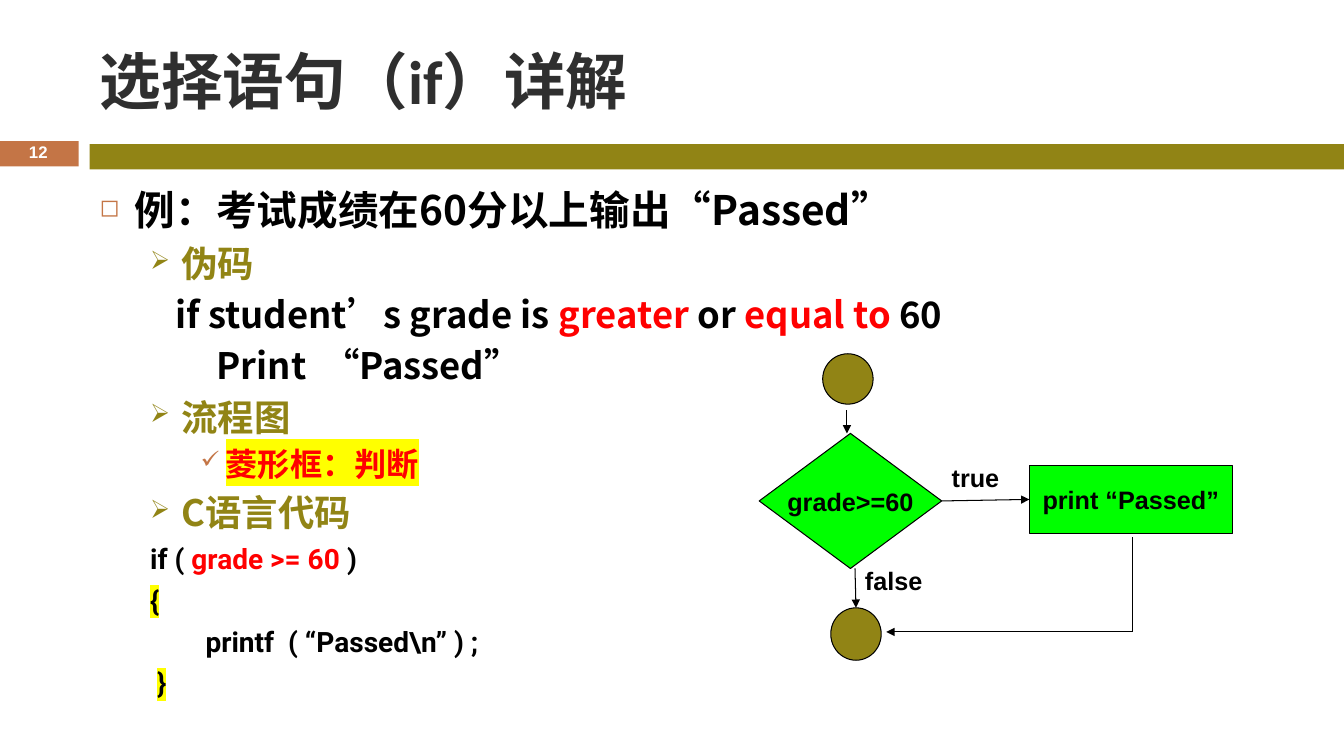
from dataclasses import dataclass

from lxml import etree
from pptx import Presentation
from pptx import util as u
from pptx.dml.color import RGBColor
from pptx.enum import shapes, text
from pptx.oxml import ns


@dataclass(frozen=True)
class Theme:
    """Colours, fonts and type sizes of the slide."""
    olive: str = "918415"
    rust: str = "C47546"
    green: str = "00FF00"
    red: str = "FF0000"
    yellow: str = "FFFF00"
    black: str = "000000"
    white: str = "FFFFFF"
    heading: str = "2F2F2F"
    title_font: str = "Calibri"
    body_font: str = "Noto Sans CJK SC"
    code_font: str = "Roboto"
    label_font: str = "Arial"
    title_size: int = 44
    label_size: int = 18
    number_size: int = 12


THEME = Theme()


@dataclass(frozen=True)
class Style:
    """Type, spacing and bullet of one kind of body paragraph."""
    size: int
    line: float
    before: float
    color: str = THEME.black
    font: str = THEME.body_font
    margin: float = 0
    hanging: float = 0
    bullet: str = ""
    bullet_color: str = THEME.olive
    bullet_scale: int = 100


TOPIC = Style(29, 37.5, 0, margin=0.35, hanging=0.35, bullet="◻",
              bullet_color=THEME.rust, bullet_scale=60)
SECTION = Style(26, 31, 5.5, THEME.olive, margin=0.81, hanging=0.31,
                bullet="➢", bullet_scale=70)
POINT = Style(23, 27, 5, THEME.red, margin=1.25, hanging=0.25, bullet="✓",
              bullet_color=THEME.rust, bullet_scale=75)
PSEUDO = Style(26, 31, 5.5)
CODE = Style(20, 24, 5.5, font=THEME.code_font)

BODY = [
    (TOPIC, 0.35, [("例：考试成绩在60分以上输出“Passed”",)]),
    (SECTION, 0.81, [("伪码",)]),
    (PSEUDO, 0.75, [("if student’s grade is ",), ("greater", THEME.red),
                    (" or ",), ("equal to ", THEME.red), ("60",)]),
    (PSEUDO, 1.16, [("Print  “Passed”",)]),
    (SECTION, 0.81, [("流程图",)]),
    (POINT, 1.25, [("菱形框：判断", THEME.red, THEME.yellow)]),
    (SECTION, 0.81, [("C语言代码",)]),
    (CODE, 0.5, [("if ( ",), ("grade >= 60", THEME.red), (" )",)]),
    (CODE, 0.5, [("{", THEME.black, THEME.yellow)]),
    (CODE, 1.05, [("printf  ( “Passed\\n” ) ;",)]),
    (CODE, 0.57, [("}", THEME.black, THEME.yellow)]),
]


def format_span(span, size, font, color, highlight=None):
    """Set the type of a run, with an optional highlight."""
    span.font.size = u.Pt(size)
    span.font.bold = True
    span.font.color.rgb = RGBColor.from_string(color)
    span.font.name = font
    props = span.font._element
    latin = props.find(ns.qn("a:latin"))
    east = etree.Element(ns.qn("a:ea"), typeface=THEME.body_font)
    latin.addnext(east)
    if highlight:
        mark = etree.Element(ns.qn("a:highlight"))
        etree.SubElement(mark, ns.qn("a:srgbClr"), val=highlight)
        latin.addprevious(mark)


def write(shape, words, size, font, color, align=None, wrap=False):
    """Put one vertically centred line of text in a shape."""
    frame = shape.text_frame
    frame.text = words
    frame.word_wrap = wrap
    frame.vertical_anchor = text.MSO_ANCHOR.MIDDLE
    para = frame.paragraphs[0]
    para.alignment = align
    format_span(para.runs[0], size, font, color)


def add_block(page, kind, place, fill, outlined=False):
    """Add a filled preset shape."""
    block = page.shapes.add_shape(kind, *map(u.Inches, place))
    block.shadow.inherit = False
    block.fill.solid()
    block.fill.fore_color.rgb = RGBColor.from_string(fill)
    if outlined:
        block.line.color.rgb = RGBColor.from_string(THEME.black)
        block.line.width = u.Pt(0.75)
    else:
        block.line.fill.background()
    return block


def add_step(page, kind, place, words):
    """Add a green flowchart step with its label."""
    step = add_block(page, kind, place, THEME.green, outlined=True)
    write(step, words, THEME.label_size, THEME.label_font, THEME.black,
          text.PP_ALIGN.CENTER)
    return step


def add_words(page, place, *styling, **options):
    """Add a text box holding one line."""
    box = page.shapes.add_textbox(*map(u.Inches, place))
    write(box, *styling, **options)


def add_flow(page, start, end, arrow=True):
    """Add a straight flow line, with an arrowhead unless told otherwise."""
    flow = page.shapes.add_connector(
        shapes.MSO_CONNECTOR.STRAIGHT, *map(u.Inches, start + end))
    flow.line.color.rgb = RGBColor.from_string(THEME.black)
    flow.line.width = u.Pt(0.75)
    if arrow:
        etree.SubElement(flow.line._get_or_add_ln(), ns.qn("a:tailEnd"),
                         type="triangle")
    etree.SubElement(flow._element.spPr, ns.qn("a:effectLst"))
    return flow


def set_bullet(para, style):
    """Give a paragraph its coloured bullet and hanging indent."""
    props = para._p.get_or_add_pPr()
    props.set("indent", str(-u.Inches(style.hanging)))
    color = etree.SubElement(props, ns.qn("a:buClr"))
    etree.SubElement(color, ns.qn("a:srgbClr"), val=style.bullet_color)
    etree.SubElement(props, ns.qn("a:buSzPct"),
                     val=str(style.bullet_scale * 1000))
    etree.SubElement(props, ns.qn("a:buChar"), char=style.bullet)


def add_body(page):
    """Add the outline with pseudocode and code."""
    box = page.shapes.add_textbox(*map(u.Inches, (0.89, 1.75, 11.89, 5.39)))
    frame = box.text_frame
    frame.word_wrap = True
    for index, (style, margin, spans) in enumerate(BODY):
        para = frame.add_paragraph() if index else frame.paragraphs[0]
        para.line_spacing = u.Pt(style.line)
        para.space_before = u.Pt(style.before)
        para._p.get_or_add_pPr().set("marL", str(u.Inches(margin)))
        if style.bullet:
            set_bullet(para, style)
        for words, *look in spans:
            span = para.add_run()
            span.text = words
            format_span(span, style.size, style.font,
                        *(look or [style.color]))


def add_flowchart(page):
    """Add the flowchart of the if statement."""
    kinds = shapes.MSO_SHAPE
    test = add_step(page, kinds.FLOWCHART_DECISION,
                    (7.53, 4.3, 1.81, 1.34), "grade>=60")
    action = add_step(page, kinds.FLOWCHART_PROCESS,
                      (10.21, 4.62, 2.01, 0.67), "print “Passed”")
    add_block(page, kinds.FLOWCHART_CONNECTOR, (8.16, 3.51, 0.5, 0.5),
              THEME.olive, outlined=True)
    finish = add_block(page, kinds.FLOWCHART_CONNECTOR,
                       (8.24, 6.03, 0.5, 0.52), THEME.olive, outlined=True)
    add_flow(page, (8.4, 4.07), (8.4, 4.3))
    false_flow = add_flow(page, (8.48, 5.64), (8.48, 6.03))
    false_flow.end_connect(finish, 0)
    true_flow = add_flow(page, (9.34, 4.93), (10.21, 4.93))
    true_flow.begin_connect(test, 3)
    true_flow.end_connect(action, 1)
    add_flow(page, (11.23, 5.33), (11.23, 6.27), arrow=False)
    add_flow(page, (11.23, 6.27), (8.79, 6.27))
    for words, place in (("true", (9.34, 4.54, 0.71, 0.4)),
                         ("false", (8.48, 5.56, 0.79, 0.4))):
        add_words(page, place, words, THEME.label_size, THEME.label_font,
                  THEME.black)


def main():
    """Build the slide and save it."""
    deck = Presentation()
    deck.slide_width, deck.slide_height = u.Inches(13.33), u.Inches(7.5)
    page = deck.slides.add_slide(deck.slide_layouts[6])
    rectangle = shapes.MSO_SHAPE.RECTANGLE
    add_block(page, rectangle, (0, 1.4, 0.78, 0.25), THEME.rust)
    add_block(page, rectangle, (0.89, 1.43, 12.44, 0.25), THEME.olive)
    add_words(page, (0.89, 0.25, 11.89, 1.08), "选择语句（if）详解",
              THEME.title_size, THEME.title_font, THEME.heading, wrap=True)
    add_words(page, (0, 1.37, 0.76, 0.27), "12", THEME.number_size,
              THEME.label_font, THEME.white, text.PP_ALIGN.CENTER, wrap=True)
    add_body(page)
    add_flowchart(page)
    deck.save("out.pptx")


if __name__ == "__main__":
    main()
